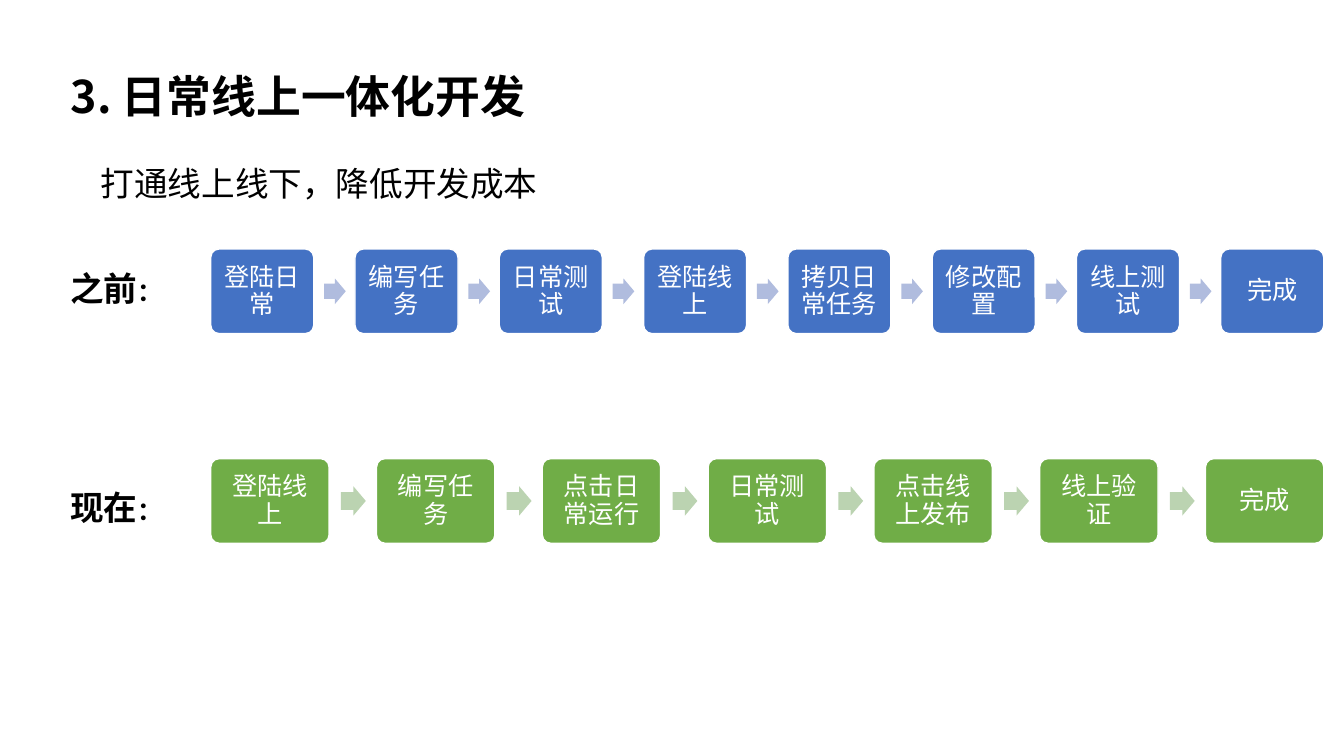
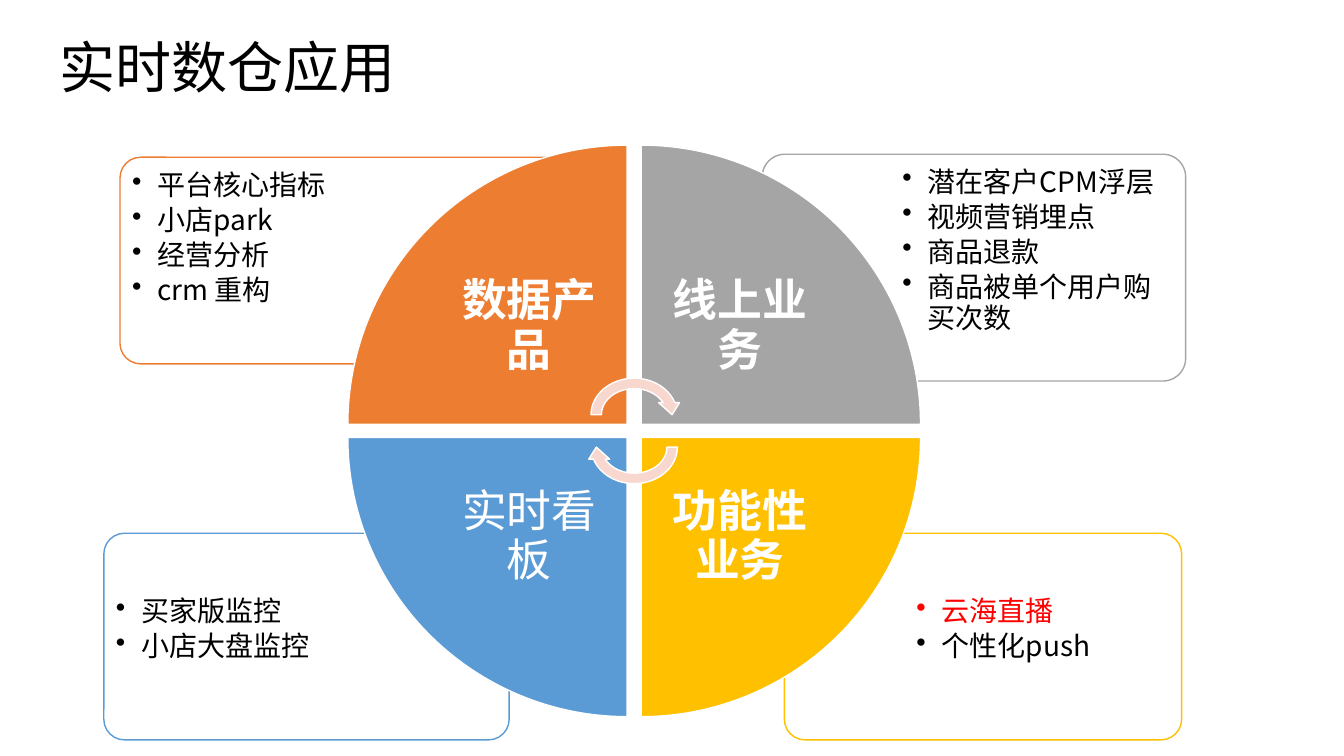
from dataclasses import dataclass

from lxml.etree import SubElement as Sub
from pptx import Presentation
from pptx.dml.color import RGBColor
from pptx.enum.shapes import MSO_SHAPE as Geo
from pptx.enum.text import MSO_ANCHOR as Anchor, MSO_AUTO_SIZE as Auto, PP_ALIGN as Align
from pptx.oxml.ns import qn
from pptx.shapes.autoshape import Shape
from pptx.slide import Slide
from pptx.text.text import TextFrame, _Paragraph as Para
from pptx.util import Inches, Pt

NOTO = "Noto Sans CJK JP"
CALI = "Calibri"
BLACK, WHITE, RED = "000000", "FFFFFF", "FF0000"
ORANGE, GRAY, GOLD, BLUE = "ED7D31", "A5A5A5", "FFC000", "5B9BD5"
PINK = "F8D7CE"
LEFT, SPAN, TALL = 2.09, 11.04, 0.84
SIDE, HALF = 2.77, 1.96

Box = tuple[float, float, float, float]


@dataclass
class Flow:
    label: str
    mark: float
    top: float
    fill: str
    tint: str
    steps: list[str]


@dataclass
class Part:
    name: str
    fill: str
    bold: bool
    col: int
    row: int
    turn: int
    card: Box
    area: Box
    items: list[str]
    hot: str = ""


FLOWS = [
    Flow("之前", 2.61, 2.47, "4472C4", "B0BCDE",
         ["登陆日常", "编写任务", "日常测试", "登陆线上",
          "拷贝日常任务", "修改配置", "线上测试", "完成"]),
    Flow("现在", 4.78, 4.55, "70AD47", "BBD3B1",
         ["登陆线上", "编写任务", "点击日常运行", "日常测试",
          "点击线上发布", "线上验证", "完成"]),
]

PARTS = [
    Part("功能性业务", GOLD, True, 1, 1, 180,
         (7.78, 5.29, 3.94, 2.05), (9.01, 5.84, 2.67, 1.45),
         ["云海直播", "个性化push"], "云海直播"),
    Part("实时看板", BLUE, False, 0, 1, 270,
         (1.03, 5.29, 4.02, 2.05), (1.07, 5.84, 2.72, 1.45),
         ["买家版监控", "小店大盘监控"]),
    Part("线上业务", GRAY, True, 1, 0, 90,
         (7.56, 1.53, 4.2, 2.25), (8.87, 1.58, 2.84, 1.59),
         ["潜在客户CPM浮层", "视频营销埋点", "商品退款", "商品被单个用户购买次数"]),
    Part("数据产品", ORANGE, True, 0, 0, 0,
         (1.19, 1.56, 4.58, 2.05), (1.23, 1.61, 3.12, 1.45),
         ["平台核心指标", "小店park", "经营分析", "crm 重构"]),
]


def color(code: str) -> RGBColor:
    return RGBColor.from_string(code)


def style(para: Para, size: float, face: str, code: str, bold: bool = False) -> None:
    font = para.font
    font.size, font.name, font.bold = Pt(size), face, bold
    font.color.rgb = color(code)


def setup(frame: TextFrame, pad: float, anchor: Anchor = Anchor.TOP) -> None:
    frame.word_wrap = True
    frame.auto_size = Auto.NONE
    frame.vertical_anchor = anchor
    frame.margin_left = frame.margin_right = Inches(pad)
    frame.margin_top = frame.margin_bottom = Inches(pad)


def draw(slide: Slide, geo: Geo, box: Box, fill: str, line: str = "") -> Shape:
    shape = slide.shapes.add_shape(geo, *map(Inches, box))
    shape.shadow.inherit = False
    shape.fill.solid()
    shape.fill.fore_color.rgb = color(fill)
    if line:
        shape.line.color.rgb = color(line)
        shape.line.width = Pt(1)
    else:
        shape.line.fill.background()
    return shape


def panel(slide: Slide, box: Box, fill: str, line: str) -> Shape:
    shape = draw(slide, Geo.ROUNDED_RECTANGLE, box, fill, line)
    shape.adjustments[0] = 0.1
    return shape


def write(slide: Slide, box: Box, pad: float, anchor: Anchor = Anchor.TOP) -> TextFrame:
    frame = slide.shapes.add_textbox(*map(Inches, box)).text_frame
    setup(frame, pad, anchor)
    return frame


def center(frame: TextFrame, text: str, size: float, face: str, lead: float,
           bold: bool = False) -> None:
    para = frame.paragraphs[0]
    para.text = text
    para.alignment = Align.CENTER
    para.line_spacing = Pt(lead)
    style(para, size, face, WHITE, bold)


def head(slide: Slide, text: str, box: Box, size: float, bold: bool) -> None:
    title = slide.shapes.title
    title.left, title.top, title.width, title.height = map(Inches, box)
    frame = title.text_frame
    setup(frame, 0.1, Anchor.MIDDLE)
    para = frame.paragraphs[0]
    para.text = text
    para.alignment = Align.LEFT
    style(para, size, NOTO, BLACK, bold)


def chain(slide: Slide, flow: Flow) -> None:
    para = write(slide, (0.6, flow.mark, 1.13, 0.5), 0.1, Anchor.MIDDLE).paragraphs[0]
    for text, size in ((flow.label, 24), ("：", 18)):
        run = para.add_run()
        run.text = text
        run.font.size = Pt(size)
    style(para, 24, CALI, BLACK, True)
    count = len(flow.steps)
    wide = SPAN / (count + 0.4 * (count - 1))
    high = 0.248 * wide
    for num, text in enumerate(flow.steps):
        left = LEFT + 1.4 * wide * num
        if num:
            box = (left - 0.3 * wide, flow.top + (TALL - high) / 2, 0.21 * wide, high)
            arrow = draw(slide, Geo.RIGHT_ARROW, box, flow.tint)
            arrow.adjustments[0] = 0.6
        step = panel(slide, (left, flow.top, wide, TALL), flow.fill, WHITE)
        setup(step.text_frame, 0.07, Anchor.MIDDLE)
        center(step.text_frame, text, 18, CALI, 19.5)


def card(slide: Slide, part: Part) -> None:
    shape = panel(slide, part.card, WHITE, part.fill)
    tone = shape.fill._xPr.find(qn("a:solidFill"))[0]
    Sub(tone, qn("a:alpha"), val="90000")
    frame = write(slide, part.area, 0.08)
    for num, text in enumerate(part.items):
        para = frame.add_paragraph() if num else frame.paragraphs[0]
        para.text = text
        code = RED if text == part.hot else BLACK
        props = para._p.get_or_add_pPr()
        props.set("marL", str(Inches(0.25)))
        props.set("indent", str(-Inches(0.25)))
        Sub(Sub(props, qn("a:buClr")), qn("a:srgbClr"), val=code)
        Sub(props, qn("a:buChar"), char="•")
        para.line_spacing = Pt(22)
        para.space_after = Pt(3)
        style(para, 20, NOTO, code)


def wedge(slide: Slide, part: Part) -> None:
    box = (3.45 + 2.91 * part.col, 1.44 + 2.9 * part.row, SIDE, SIDE)
    shape = draw(slide, Geo.PIE_WEDGE, box, part.fill, WHITE)
    shape.rotation = part.turn
    area = (4.27 + 2.09 * part.col, 2.25 + 2.09 * part.row, HALF, HALF)
    frame = write(slide, area, 0.25, Anchor.MIDDLE)
    center(frame, part.name, 32, NOTO, 35.5, part.bold)


def main() -> None:
    deck = Presentation()
    deck.slide_width, deck.slide_height = Inches(13.33), Inches(7.5)
    layout = deck.slide_layouts[5]

    slide = deck.slides.add_slide(layout)
    head(slide, "3. 日常线上一体化开发", (0.6, 0.58, 8, 0.74), 32, True)
    para = write(slide, (0.9, 1.53, 6, 0.58), 0.1, Anchor.MIDDLE).paragraphs[0]
    para.text = "打通线上线下，降低开发成本"
    style(para, 24, NOTO, BLACK)
    for flow in FLOWS:
        chain(slide, flow)

    slide = deck.slides.add_slide(layout)
    head(slide, "实时数仓应用", (0.49, 0.27, 8, 0.77), 40, False)
    for part in PARTS:
        card(slide, part)
    for part in PARTS:
        wedge(slide, part)
    for top, turn in ((3.7, 0), (4.02, 180)):
        arrow = draw(slide, Geo.CIRCULAR_ARROW, (5.81, top, 0.96, 0.83), PINK, WHITE)
        arrow.rotation = turn

    deck.save("out.pptx")


if __name__ == "__main__":
    main()
